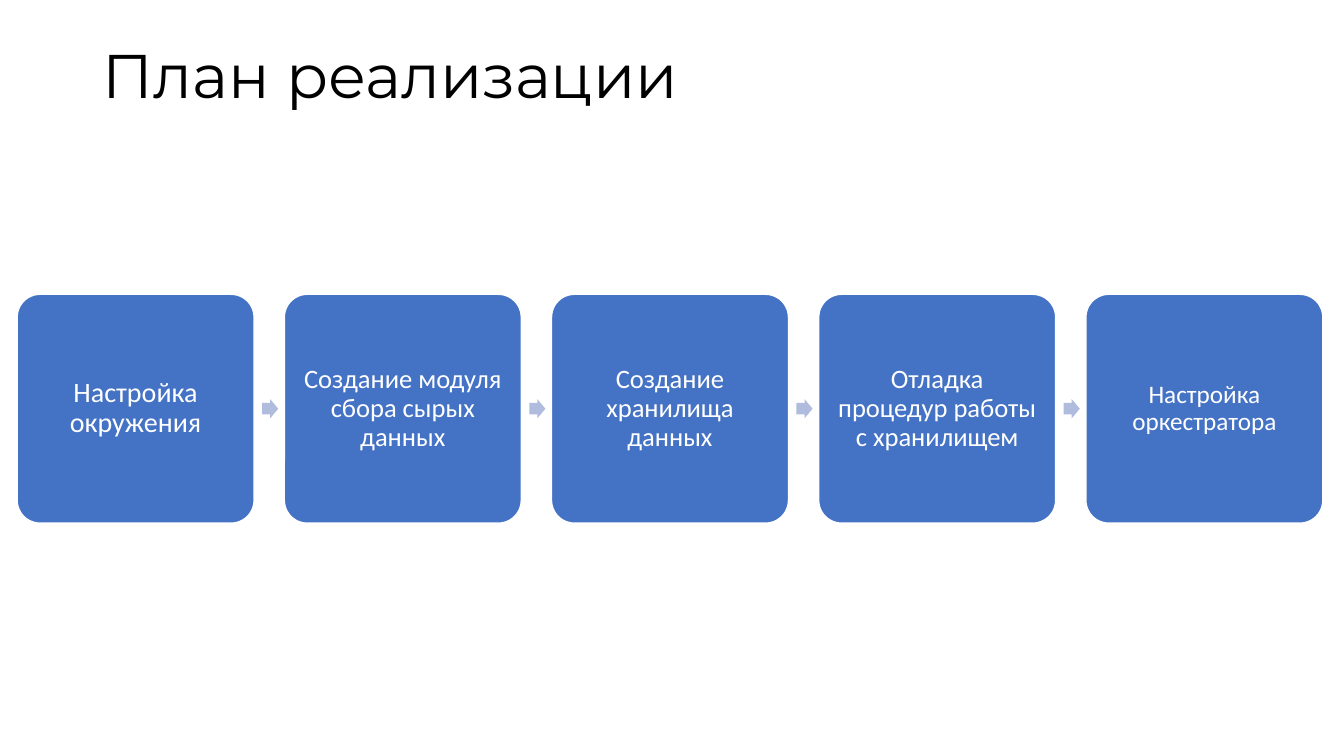
from pptx import Presentation
from pptx.dml.color import RGBColor
from pptx.enum.shapes import MSO_SHAPE as Shape
from pptx.enum.text import MSO_ANCHOR as Anchor, PP_ALIGN as Align
from pptx.util import Inches, Pt

SLIDE_WIDTH, SLIDE_HEIGHT = 13.33, 7.5
BLUE, PALE_BLUE, WHITE, BLACK = "4472C4", "B0BCDE", "FFFFFF", "000000"

# Process row: equal steps with an arrow in each gap
ROW_LEFT, ROW_MIDDLE, PITCH = 0.17, 4.055, 2.65
STEP_WIDTH, STEP_HEIGHT = 2.35, 2.27
ARROW_WIDTH, ARROW_HEIGHT, ARROW_OFFSET = 0.16, 0.19, 2.43
STEPS = [
    ("Настройка окружения", 20, 0.08),
    ("Создание модуля сбора сырых данных", 19, 0.08),
    ("Создание хранилища данных", 19, 0.08),
    ("Отладка процедур работы с хранилищем", 19, 0.08),
    ("Настройка оркестратора", 18, 0.07),
]


def color(hex_string):
    return RGBColor.from_string(hex_string)


def set_text(shape, text, font, size, hex_string, align, anchor):
    frame = shape.text_frame
    frame.text = text
    frame.word_wrap = True
    frame.vertical_anchor = anchor
    paragraph = frame.paragraphs[0]
    paragraph.alignment = align
    paragraph.line_spacing = 0.9
    run_font = paragraph.runs[0].font
    run_font.name, run_font.size = font, Pt(size)
    run_font.color.rgb = color(hex_string)


def add_filled_shape(slide, kind, left, width, height, fill, adjustments):
    """Add a preset shape centred on the middle of the process row."""
    top = ROW_MIDDLE - height / 2
    shape = slide.shapes.add_shape(
        kind, Inches(left), Inches(top), Inches(width), Inches(height))
    shape.shadow.inherit = False
    shape.fill.solid()
    shape.fill.fore_color.rgb = color(fill)
    for index, value in enumerate(adjustments):
        shape.adjustments[index] = value
    return shape


def add_title(slide, text):
    title = slide.shapes.add_textbox(
        Inches(0.92), Inches(0.4), Inches(11.5), Inches(1.45))
    set_text(title, text, "Montserrat", 44, BLACK, Align.LEFT, Anchor.TOP)


def add_step(slide, left, text, size, inset):
    step = add_filled_shape(slide, Shape.ROUNDED_RECTANGLE, left,
                            STEP_WIDTH, STEP_HEIGHT, BLUE, [0.1])
    step.line.color.rgb = color(WHITE)
    step.line.width = Pt(1)
    frame = step.text_frame
    frame.margin_left = frame.margin_right = Inches(inset)
    frame.margin_top = frame.margin_bottom = Inches(inset)
    set_text(step, text, "Calibri", size, WHITE, Align.CENTER, Anchor.MIDDLE)


def add_arrow(slide, left):
    arrow = add_filled_shape(slide, Shape.RIGHT_ARROW, left,
                             ARROW_WIDTH, ARROW_HEIGHT, PALE_BLUE, [0.6, 0.5])
    arrow.line.fill.background()


def main():
    presentation = Presentation()
    presentation.slide_width = Inches(SLIDE_WIDTH)
    presentation.slide_height = Inches(SLIDE_HEIGHT)
    slide = presentation.slides.add_slide(presentation.slide_layouts[6])

    add_title(slide, "План реализации")

    # Steps, each but the last followed by an arrow
    for index, (text, size, inset) in enumerate(STEPS):
        left = ROW_LEFT + index * PITCH
        add_step(slide, left, text, size, inset)
        if index < len(STEPS) - 1:
            add_arrow(slide, left + ARROW_OFFSET)

    presentation.save("out.pptx")


main()
